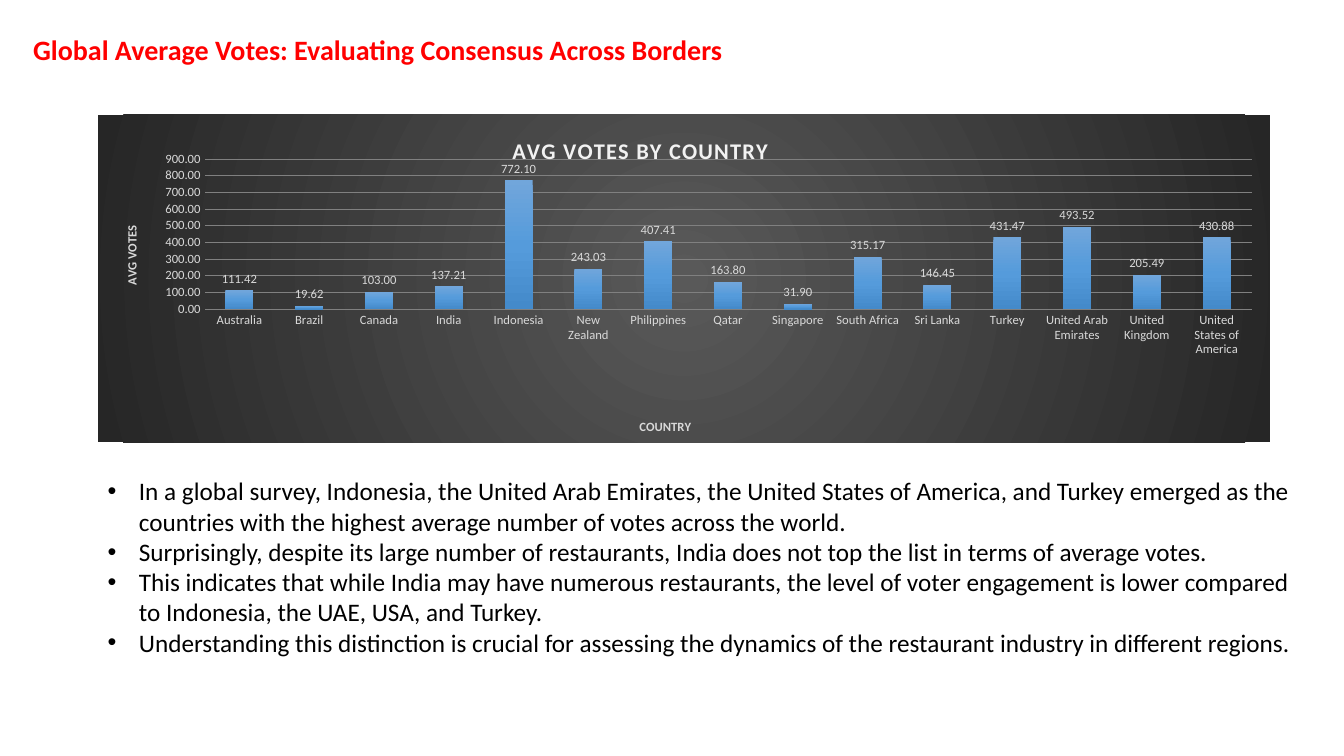
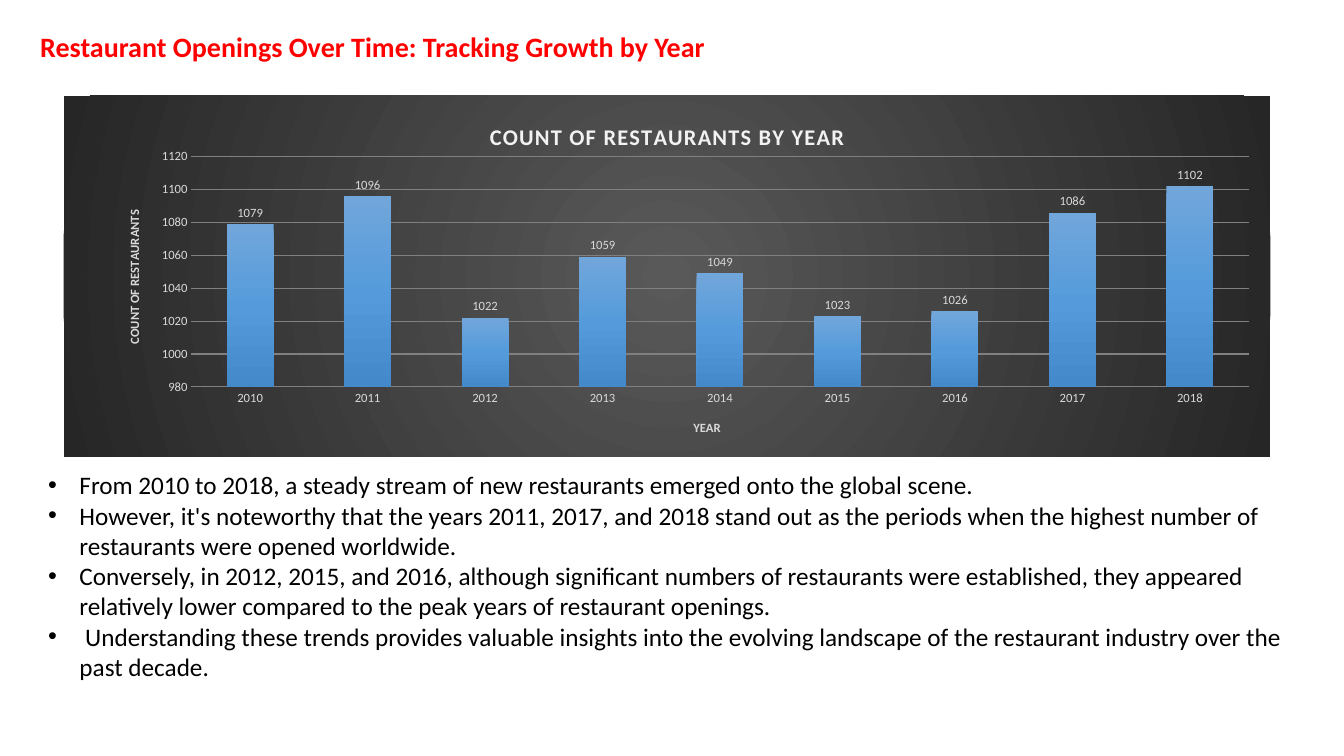
from dataclasses import dataclass
from typing import Optional

from pptx import Presentation
from pptx import util as u
from pptx.chart import data
from pptx.dml import color
from pptx.enum import chart as ch
from pptx.enum import text
from pptx.oxml import ns, parse_xml


@dataclass(frozen=True)
class Theme:
    font: str = "Calibri"
    heading: str = "FF0000"
    body: str = "000000"
    chart_title: str = "F2F2F2"
    chart_text: str = "D9D9D9"
    grid: str = "808080"
    panel: tuple = ((0, "595959"), (100, "262626"))
    column: tuple = ((0, "71A6DB"), (50, "559BDB"), (100, "448ACA"))
    heading_size: int = 20
    body_size: int = 18
    chart_title_size: int = 16
    axis_size: int = 9
    indent: float = 0.31


@dataclass(frozen=True)
class Box:
    left: float
    top: float
    width: float
    height: float

    def lengths(self) -> tuple:
        return tuple(u.Inches(n) for n in (self.left, self.top, self.width, self.height))


@dataclass(frozen=True)
class Label:
    """A chart caption with its top left corner as fractions of the chart."""
    words: str
    x: float
    y: float


@dataclass(frozen=True)
class Scale:
    low: float
    high: float
    step: float
    number_format: str


@dataclass(frozen=True)
class ColumnChart:
    box: Box
    plot: Box
    title: Label
    category_title: Label
    value_title: Label
    scale: Scale
    values: dict


@dataclass(frozen=True)
class Page:
    heading: str
    heading_box: Box
    chart: ColumnChart
    bullets: tuple
    bullets_box: Box


THEME = Theme()

PAGES = (
    Page(
        heading="Global Average Votes: Evaluating Consensus Across Borders",
        heading_box=Box(0.23, 0.27, 7.43, 0.44),
        chart=ColumnChart(
            box=Box(0.97, 1.14, 11.63, 3.25),
            plot=Box(0.091, 0.135, 0.893, 0.458),
            title=Label("AVG VOTES BY COUNTRY", 0.35, 0.05),
            category_title=Label("COUNTRY", 0.46, 0.92),
            value_title=Label("AVG VOTES", 0.02, 0.33),
            scale=Scale(0, 900, 100, "0.00"),
            values={
                "Australia": 111.42, "Brazil": 19.62, "Canada": 103, "India": 137.21,
                "Indonesia": 772.1, "New Zealand": 243.03, "Philippines": 407.41,
                "Qatar": 163.8, "Singapore": 31.9, "South Africa": 315.17,
                "Sri Lanka": 146.45, "Turkey": 431.47, "United Arab Emirates": 493.52,
                "United Kingdom": 205.49, "United States of America": 430.88,
            },
        ),
        bullets=(
            "In a global survey, Indonesia, the United Arab Emirates, the United States of "
            "America, and Turkey emerged as the countries with the highest average number of "
            "votes across the world.",
            "Surprisingly, despite its large number of restaurants, India does not top the "
            "list in terms of average votes.",
            "This indicates that while India may have numerous restaurants, the level of voter "
            "engagement is lower compared to Indonesia, the UAE, USA, and Turkey.",
            "Understanding this distinction is crucial for assessing the dynamics of the "
            "restaurant industry in different regions.",
        ),
        bullets_box=Box(0.97, 4.67, 12.14, 1.92),
    ),
    Page(
        heading="Restaurant Openings Over Time: Tracking Growth by Year",
        heading_box=Box(0.3, 0.24, 7.54, 0.44),
        chart=ColumnChart(
            box=Box(0.63, 0.95, 11.97, 3.58),
            plot=Box(0.106, 0.169, 0.876, 0.638),
            title=Label("COUNT OF RESTAURANTS BY YEAR", 0.35, 0.06),
            category_title=Label("YEAR", 0.52, 0.89),
            value_title=Label("COUNT OF RESTAURANTS", 0.05, 0.31),
            scale=Scale(980, 1120, 20, "General"),
            values={
                "2010": 1079, "2011": 1096, "2012": 1022, "2013": 1059, "2014": 1049,
                "2015": 1023, "2016": 1026, "2017": 1086, "2018": 1102,
            },
        ),
        bullets=(
            "From 2010 to 2018, a steady stream of new restaurants emerged onto the global scene.",
            "However, it's noteworthy that the years 2011, 2017, and 2018 stand out as the "
            "periods when the highest number of restaurants were opened worldwide.",
            "Conversely, in 2012, 2015, and 2016, although significant numbers of restaurants "
            "were established, they appeared relatively lower compared to the peak years of "
            "restaurant openings.",
            " Understanding these trends provides valuable insights into the evolving landscape "
            "of the restaurant industry over the past decade.",
        ),
        bullets_box=Box(0.38, 4.61, 12.48, 2.22),
    ),
)


def style_font(font, size: int, hue: str, bold: bool = False) -> None:
    font.name = THEME.font
    font.size = u.Pt(size)
    font.bold = bold
    font.color.rgb = color.RGBColor.from_string(hue)


def add_bullet(para) -> None:
    indent = u.Inches(THEME.indent)
    properties = para._p.get_or_add_pPr()
    properties.set("marL", str(indent))
    properties.set("indent", str(-indent))
    for mark in ('<a:buFont %s typeface="Arial"/>', '<a:buChar %s char="•"/>'):
        properties.append(parse_xml(mark % ns.nsdecls("a")))


def add_text(slide, box: Box, lines: tuple, size: int, hue: str,
             bold: bool = False, bulleted: bool = False) -> None:
    frame = slide.shapes.add_textbox(*box.lengths()).text_frame
    frame.word_wrap = True
    frame.auto_size = text.MSO_AUTO_SIZE.SHAPE_TO_FIT_TEXT
    for index, line in enumerate(lines):
        para = frame.add_paragraph() if index else frame.paragraphs[0]
        span = para.add_run()
        span.text = line
        style_font(span.font, size, hue, bold)
        if bulleted:
            add_bullet(para)


def add_gradient_after(element, stops: tuple, direction: str) -> None:
    """Insert gradient shape properties right behind a chart element."""
    marks = "".join(
        f'<a:gs pos="{place * 1000}"><a:srgbClr val="{hue}"/></a:gs>' for place, hue in stops
    )
    element.addnext(parse_xml(
        f'<c:spPr {ns.nsdecls("c", "a")}><a:gradFill><a:gsLst>{marks}</a:gsLst>'
        f'{direction}</a:gradFill><a:ln><a:noFill/></a:ln></c:spPr>'
    ))


def set_layout(parent, position: int, x: float, y: float,
               size: Optional[tuple] = None) -> None:
    """Place a title, or the inner plot area when a size is given."""
    old = parent.find(ns.qn("c:layout"))
    if old is not None:
        parent.remove(old)
    settings = [("layoutTarget", "inner")] if size else []
    settings += [("xMode", "edge"), ("yMode", "edge"), ("x", x), ("y", y)]
    if size:
        settings += [("w", size[0]), ("h", size[1])]
    inner = "".join(f'<c:{name} val="{value}"/>' for name, value in settings)
    parent.insert(position, parse_xml(
        f'<c:layout {ns.nsdecls("c")}><c:manualLayout>{inner}</c:manualLayout></c:layout>'
    ))


def write_title(title, label: Label, size: int, hue: str) -> None:
    span = title.text_frame.paragraphs[0].add_run()
    span.text = label.words
    style_font(span.font, size, hue, bold=True)
    set_layout(title.element, 1, label.x, label.y)


def style_axis(axis, label: Label) -> None:
    axis.major_tick_mark = axis.minor_tick_mark = ch.XL_TICK_MARK.NONE
    axis.format.line.fill.background()
    style_font(axis.tick_labels.font, THEME.axis_size, THEME.chart_text)
    axis.has_title = True
    write_title(axis.axis_title, label, THEME.axis_size, THEME.chart_text)


def add_column_chart(slide, spec_sheet: ColumnChart) -> None:
    scale = spec_sheet.scale
    chart_data = data.CategoryChartData(number_format=scale.number_format)
    chart_data.categories = list(spec_sheet.values)
    chart_data.add_series("Series 1", list(spec_sheet.values.values()))
    chart = slide.shapes.add_chart(
        ch.XL_CHART_TYPE.COLUMN_CLUSTERED, *spec_sheet.box.lengths(), chart_data
    ).chart
    chart.has_legend = False
    style_font(chart.font, 10, THEME.body)

    chart.has_title = True
    write_title(chart.chart_title, spec_sheet.title, THEME.chart_title_size, THEME.chart_title)
    chart.chart_title.element.find(".//" + ns.qn("a:rPr")).set("spc", "100")

    style_axis(chart.category_axis, spec_sheet.category_title)
    value_axis = chart.value_axis
    style_axis(value_axis, spec_sheet.value_title)
    value_axis.minimum_scale, value_axis.maximum_scale = scale.low, scale.high
    value_axis.major_unit = scale.step
    value_axis.tick_labels.number_format = scale.number_format
    value_axis.tick_labels.number_format_is_linked = False
    grid_line = value_axis.major_gridlines.format.line
    grid_line.width = u.Pt(0.75)
    grid_line.color.rgb = color.RGBColor.from_string(THEME.grid)

    plot = chart.plots[0]
    plot.gap_width = 150
    plot.vary_by_categories = False
    plot.has_data_labels = True
    labels = plot.data_labels
    labels.show_value = True
    labels.position = ch.XL_LABEL_POSITION.OUTSIDE_END
    labels.number_format = scale.number_format
    labels.number_format_is_linked = False
    style_font(labels.font, THEME.axis_size, THEME.chart_text)

    root = chart.element
    area = spec_sheet.plot
    set_layout(root.find(".//" + ns.qn("c:plotArea")), 0, area.left, area.top,
               (area.width, area.height))
    add_gradient_after(root.find(f'.//{ns.qn("c:ser")}/{ns.qn("c:tx")}'), THEME.column,
                       '<a:lin ang="5400000" scaled="0"/>')
    centre = 'l="50000" t="50000" r="50000" b="50000"'
    add_gradient_after(root.find(ns.qn("c:chart")), THEME.panel,
                       f'<a:path path="circle"><a:fillToRect {centre}/></a:path>')


def add_page(deck, page: Page) -> None:
    slide = deck.slides.add_slide(deck.slide_layouts[6])
    add_column_chart(slide, page.chart)
    add_text(slide, page.bullets_box, page.bullets, THEME.body_size, THEME.body, bulleted=True)
    add_text(slide, page.heading_box, (page.heading,), THEME.heading_size, THEME.heading,
             bold=True)


def main() -> None:
    deck = Presentation()
    deck.slide_width, deck.slide_height = u.Inches(13.33), u.Inches(7.5)
    for page in PAGES:
        add_page(deck, page)
    deck.save("out.pptx")


if __name__ == "__main__":
    main()
